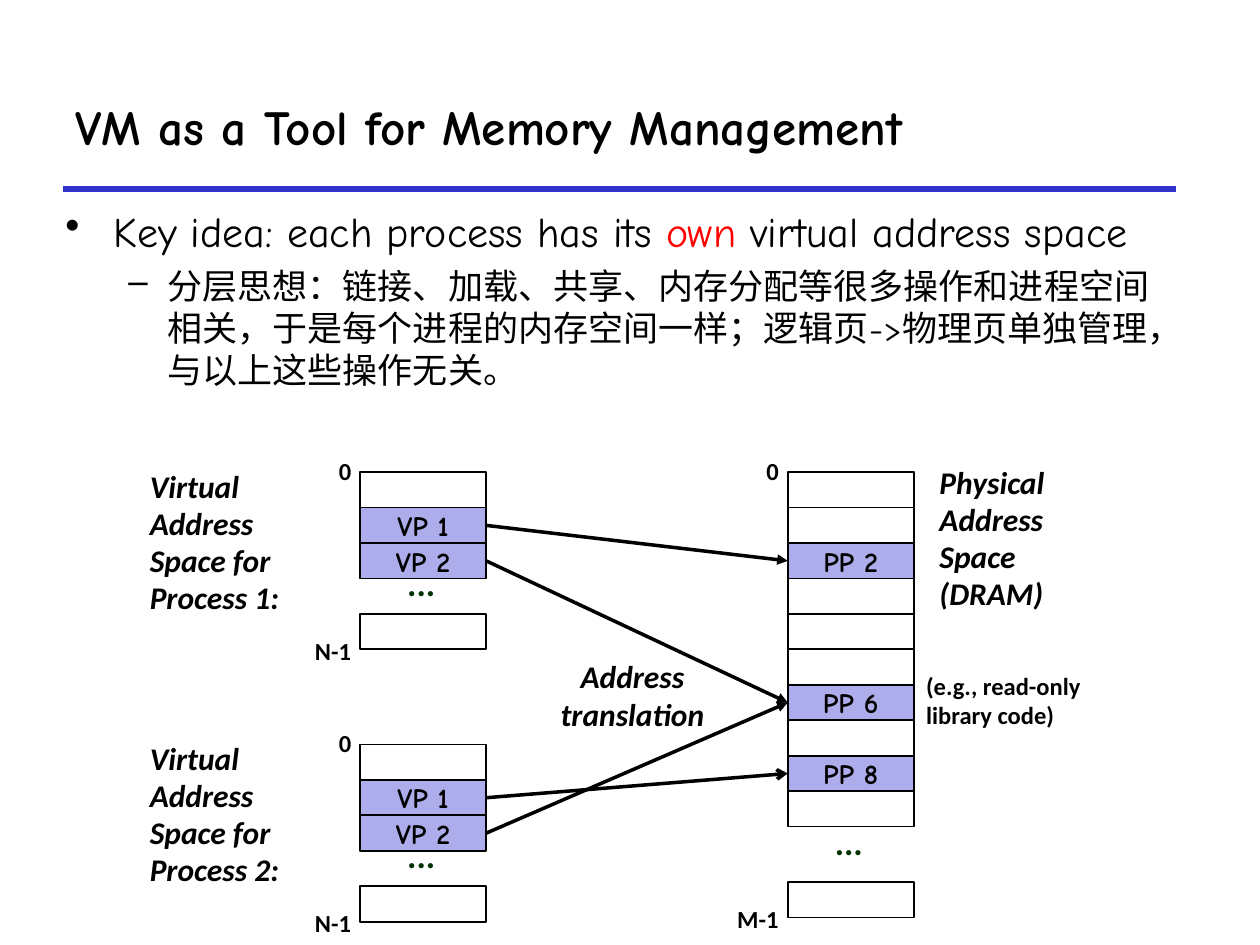
from lxml.etree import SubElement
from pptx import Presentation
from pptx.dml.color import RGBColor
from pptx.enum.shapes import MSO_CONNECTOR, MSO_SHAPE
from pptx.enum.text import MSO_ANCHOR, MSO_AUTO_SIZE, PP_ALIGN
from pptx.oxml.ns import qn
from pptx.util import Cm, Pt

COLORS = {"black": "000000", "red": "FF0000", "rule": "3333CC", "page": "ADADEB", "dots": "003300"}
FORMATS = {
    "title": {"name": "Comic Neue", "size": Pt(28), "bold": True},
    "idea": {"name": "Comic Neue", "size": Pt(24)},
    "detail": {"name": "Comic Neue", "size": Pt(20)},
    "cell": {"name": "Comic Neue", "size": Pt(16), "bold": True},
    "caption": {"name": "Calibri", "size": Pt(18), "bold": True, "italic": True},
    "label": {"name": "Calibri", "size": Pt(14), "bold": True},
    "dots": {"name": "Calibri", "size": Pt(20), "bold": True},
}


def write(para, text, style, color="black"):
    span = para.add_run()
    span.text = text
    for key, value in FORMATS[style].items():
        setattr(span.font, key, value)
    span.font.color.rgb = RGBColor.from_string(COLORS[color])


def add_text(place, lines, style, color="black", wrap=False, align=PP_ALIGN.LEFT, spacing=0.98):
    frame = page.shapes.add_textbox(*map(Cm, place)).text_frame
    frame.word_wrap = wrap
    frame.auto_size = MSO_AUTO_SIZE.SHAPE_TO_FIT_TEXT
    for index, line in enumerate(lines):
        para = frame.add_paragraph() if index else frame.paragraphs[0]
        para.alignment = align
        para.line_spacing = spacing
        write(para, line, style, color)


deck = Presentation()
deck.slide_width, deck.slide_height = Cm(25.4), Cm(19.05)
page = deck.slides.add_slide(deck.slide_layouts[5])

title = page.shapes.title
title.left, title.top, title.width, title.height = Cm(1.27), Cm(1.27), Cm(23.93), Cm(2.54)
title.text_frame.vertical_anchor = MSO_ANCHOR.MIDDLE
title.text_frame.paragraphs[0].alignment = PP_ALIGN.LEFT
write(title.text_frame.paragraphs[0], "VM as a Tool for Memory Management", "title")

rule = page.shapes.add_connector(MSO_CONNECTOR.STRAIGHT, Cm(1.27), Cm(3.81), Cm(23.7), Cm(3.81))
rule.line.width = Pt(3)
rule.line.color.rgb = RGBColor.from_string(COLORS["rule"])
SubElement(rule._element.spPr, qn("a:effectLst"))

body = page.shapes.add_textbox(Cm(1.07), Cm(4.01), Cm(22.86), Cm(4.45)).text_frame
body.word_wrap = True
bullets = [
    ("•", 0, 0.97, -0.97, "idea", [
        ("Key idea: each process has its ", "black"),
        ("own", "red"),
        (" virtual address space", "black"),
    ]),
    ("–", 1, 2.06, -0.79, "detail", [
        ("分层思想：链接、加载、共享、内存分配等很多操作和进程空间相关，于是每个进程的内存空间一样；"
         "逻辑页->物理页单独管理，与以上这些操作无关。", "black"),
    ]),
]
for mark, level, margin, indent, style, spans in bullets:
    para = body.add_paragraph() if level else body.paragraphs[0]
    para.level = level
    para.space_before = Pt(5 * level)
    properties = para._p.get_or_add_pPr()
    properties.set("marL", str(Cm(margin)))
    properties.set("indent", str(Cm(indent)))
    SubElement(SubElement(properties, qn("a:buClr")), qn("a:srgbClr"), val=COLORS["black"])
    SubElement(properties, qn("a:buChar"), char=mark)
    for text, color in spans:
        write(para, text, style, color)

row_height = 6.43 / 9
cell_width = 2.54
virtual_pages = {0: "", 1: "VP 1", 2: "VP 2", 4: ""}
physical_pages = {row: "" for row in range(10)} | {2: "PP 2", 6: "PP 6", 8: "PP 8", 11.57: ""}
columns = [
    ("process 1", 7.26, 9.52, virtual_pages, 1.78, "N-1", 1.24),
    ("process 2", 7.26, 15.01, virtual_pages, 1.78, "N-1", 1.24),
    ("memory", 15.88, 9.52, physical_pages, 7.01, "M-1", 1.35),
]
cells = {}
for column, left, top, pages, dots_offset, last_label, last_width in columns:
    for row, name in pages.items():
        box = page.shapes.add_shape(
            MSO_SHAPE.RECTANGLE, Cm(left), Cm(top + row * row_height), Cm(cell_width), Cm(row_height))
        box.shadow.inherit = False
        box.line.width = Pt(1)
        box.line.color.rgb = RGBColor.from_string(COLORS["black"])
        if name:
            box.fill.solid()
            box.fill.fore_color.rgb = RGBColor.from_string(COLORS["page"])
            box.text_frame.vertical_anchor = MSO_ANCHOR.MIDDLE
            box.text_frame.paragraphs[0].alignment = PP_ALIGN.CENTER
            write(box.text_frame.paragraphs[0], name, "cell")
            cells[column, name] = box
        else:
            box.fill.background()
    label_right = left + 0.08
    last_top = top + max(pages) * row_height + 0.35
    add_text((label_right - 0.76, top - 0.42, 0.76, 0.84), ["0"], "label")
    add_text((label_right - last_width, last_top, last_width, 0.84), [last_label], "label")
    add_text((left + 0.7, top + dots_offset, 1.07, 0.99), ["..."], "dots", "dots", spacing=0.88)

for process, top in ((1, 9.32), (2, 14.81)):
    add_text((2.77, top, 3.81, 3.23), [f"Virtual Address Space for Process {process}:"], "caption", wrap=True)
add_text((18.69, 9.25, 2.97, 3.23), ["Physical", "Address", "Space (DRAM)"], "caption", wrap=True)
add_text((18.42, 13.44, 4.04, 1.4), ["(e.g., read-only", "library code)"], "label", wrap=True)

mappings = [
    ("process 1", "VP 1", "PP 2", "triangle"),
    ("process 1", "VP 2", "PP 6", "triangle"),
    ("process 2", "VP 2", "PP 6", "triangle"),
    ("process 2", "VP 1", "PP 8", "arrow"),
]
for process, virtual_page, physical_page, head in mappings:
    arrow = page.shapes.add_connector(MSO_CONNECTOR.STRAIGHT, 0, 0, 0, 0)
    arrow.begin_connect(cells[process, virtual_page], 3)
    arrow.end_connect(cells["memory", physical_page], 1)
    arrow.line.width = Pt(2)
    arrow.line.color.rgb = RGBColor.from_string(COLORS["black"])
    SubElement(arrow.line._get_or_add_ln(), qn("a:tailEnd"), type=head)
    SubElement(arrow._element.spPr, qn("a:effectLst"))

add_text((11.05, 13.13, 3.4, 1.78), ["Address", "translation"], "caption", align=PP_ALIGN.CENTER, spacing=1.0)

deck.save("out.pptx")
